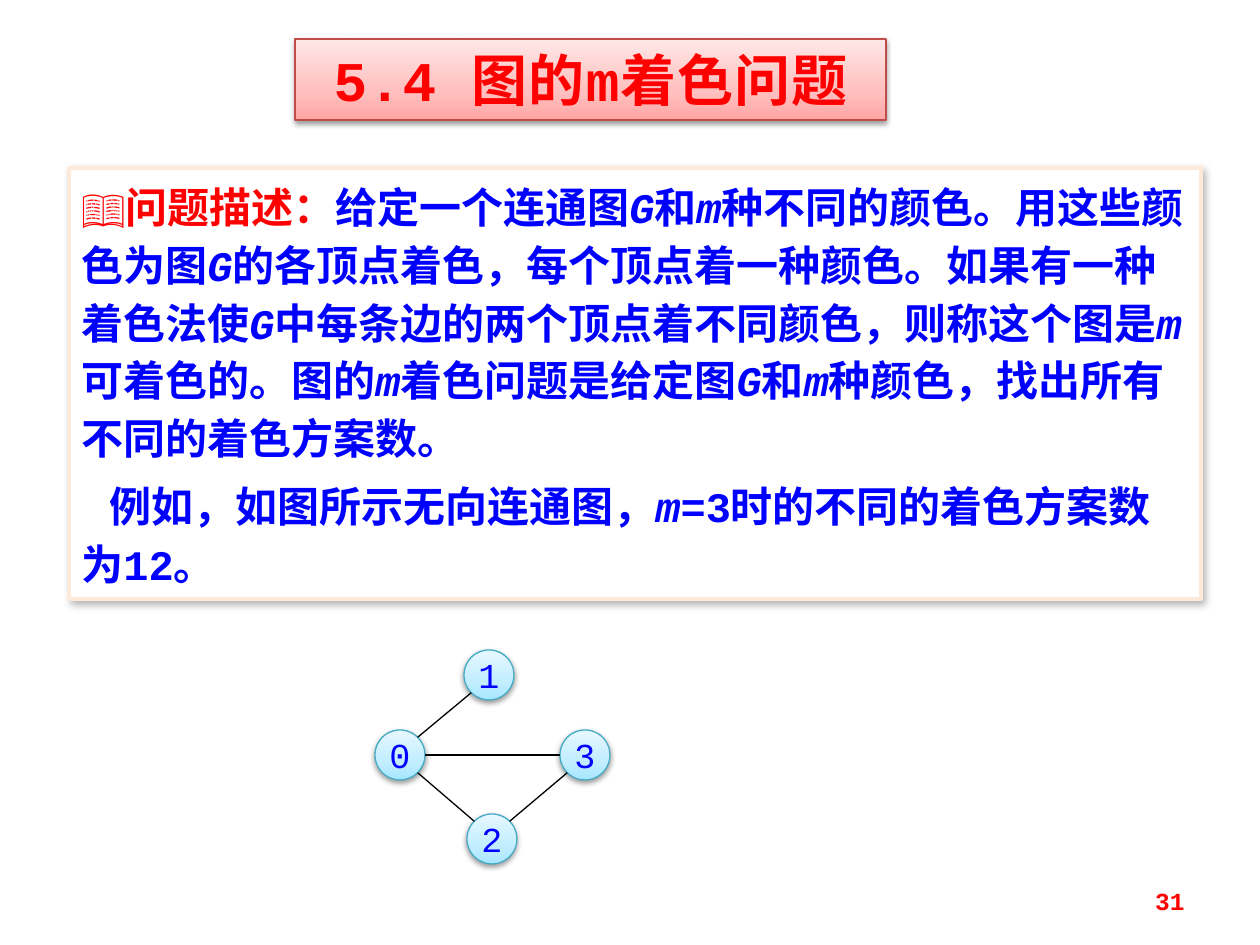
import math

import pptx
import pptx.dml.color
import pptx.enum.shapes
import pptx.enum.text
import pptx.oxml
import pptx.oxml.ns
import pptx.util
from lxml import etree

EMU_PER_PX = 914400 / 126
FONT = "Courier New"
COLORS = {
    "red": "FF0000", "blue": "0000FF", "black": "000000", "white": "FFFFFF",
    "title_line": "BF4C48", "panel_line": "FDEADA", "node_line": "46AAC5",
}
GRADIENTS = {
    "title": ((0, "FFA6A5"), (35, "FFC0BF"), (100, "FFE7E7")),
    "node": ((0, "A7E6FF"), (35, "C1EDFF"), (100, "E7F8FF")),
}
# Opacity in percent, blur and distance in points, direction in degrees
SHADOWS = {"below": (38, 3.1, 1.6, 90), "corner": (30, 4.5, 2.6, 53)}

PROBLEM = (
    "给定一个连通图*G*和*m*种不同的颜色。用这些颜色为图*G*的各顶点着色，"
    "每个顶点着一种颜色。如果有一种着色法使*G*中每条边的两个顶点着不同颜色，"
    "则称这个图是*m*可着色的。图的*m*着色问题是给定图*G*和*m*种颜色，"
    "找出所有不同的着色方案数。"
)
EXAMPLE = "例如，如图所示无向连通图，*m*=3时的不同的着色方案数为12。"

NODE_SIZE = 50
NODES = {"0": (375, 730), "2": (467, 814), "1": (464, 650), "3": (560, 730)}
EDGES = (("0", "3"), ("0", "1"), ("0", "2"), ("3", "2"))


def px(length):
    return pptx.util.Emu(round(length * EMU_PER_PX))


def rgb(name):
    return pptx.dml.color.RGBColor.from_string(COLORS.get(name, name))


def add_text(paragraph, text, *, size, color, bold=False, spacing=0):
    """Add runs to a paragraph; parts between asterisks become italic."""
    for index, part in enumerate(text.split("*")):
        run = paragraph.add_run()
        run.text = part
        font = run.font
        font.name, font.size, font.bold = FONT, pptx.util.Pt(size), bold
        font.italic = index % 2 == 1
        font.color.rgb = rgb(color)
        if spacing:
            font._element.set("spc", str(round(spacing * 100)))


def set_gradient(fill, stops):
    """Fill from bottom to top with any number of colour stops."""
    fill.gradient()
    fill.gradient_angle = 90
    stop_list = fill._xPr.find(".//" + pptx.oxml.ns.qn("a:gsLst"))
    for stop in list(stop_list):
        stop_list.remove(stop)
    for position, color in stops:
        stop = etree.SubElement(stop_list, pptx.oxml.ns.qn("a:gs"), pos=str(position * 1000))
        etree.SubElement(stop, pptx.oxml.ns.qn("a:srgbClr"), val=color)


def set_shadow(shape, opacity, blur, distance, direction):
    shape.shadow.inherit = False
    effects = shape._element.spPr.find(pptx.oxml.ns.qn("a:effectLst"))
    shadow = etree.SubElement(
        effects, pptx.oxml.ns.qn("a:outerShdw"),
        blurRad=str(pptx.util.Pt(blur)), dist=str(pptx.util.Pt(distance)),
        dir=str(direction * 60000), rotWithShape="0")
    color = etree.SubElement(shadow, pptx.oxml.ns.qn("a:srgbClr"), val=COLORS["black"])
    etree.SubElement(color, pptx.oxml.ns.qn("a:alpha"), val=str(opacity * 1000))


class SlideBuilder:
    def __init__(self, slide):
        self.slide = slide

    def shape(self, kind, box, *, line, line_width=0.75, gradient=None, shadow="below"):
        shape = self.slide.shapes.add_shape(kind, *map(px, box))
        if gradient:
            set_gradient(shape.fill, GRADIENTS[gradient])
        else:
            shape.fill.solid()
            shape.fill.fore_color.rgb = rgb("white")
        shape.line.color.rgb = rgb(line)
        shape.line.width = pptx.util.Pt(line_width)
        set_shadow(shape, *SHADOWS[shadow])
        shape.text_frame.vertical_anchor = pptx.enum.text.MSO_ANCHOR.TOP
        return shape

    def title(self, text, box):
        shape = self.shape(pptx.enum.shapes.MSO_SHAPE.RECTANGLE, box,
                           line="title_line", gradient="title")
        shape.text_frame.word_wrap = False
        paragraph = shape.text_frame.paragraphs[0]
        paragraph.alignment = pptx.enum.text.PP_ALIGN.CENTER
        add_text(paragraph, text, size=32, color="red", bold=True, spacing=0.5)

    def panel(self, label, problem, example, box):
        shape = self.shape(pptx.enum.shapes.MSO_SHAPE.RECTANGLE, box,
                           line="panel_line", line_width=2, shadow="corner")
        frame = shape.text_frame
        frame.word_wrap = True
        first, second = frame.paragraphs[0], frame.add_paragraph()
        for paragraph in (first, second):
            paragraph.alignment = pptx.enum.text.PP_ALIGN.LEFT
            paragraph.line_spacing = pptx.util.Pt(33)
        second.space_before = pptx.util.Pt(6)
        second._p.get_or_add_pPr().set("indent", str(px(28)))
        add_text(first, label, size=24, color="red", bold=True)
        add_text(first, problem, size=24, color="blue", bold=True)
        add_text(second, example, size=24, color="blue", bold=True)

    def node(self, name, left, top):
        shape = self.shape(pptx.enum.shapes.MSO_SHAPE.OVAL,
                           (left, top, NODE_SIZE, NODE_SIZE),
                           line="node_line", gradient="node")
        frame = shape.text_frame
        frame.margin_left = frame.margin_right = frame.margin_top = frame.margin_bottom = 0
        paragraph = frame.paragraphs[0]
        paragraph.alignment = pptx.enum.text.PP_ALIGN.CENTER
        paragraph.line_spacing = pptx.util.Pt(22)
        add_text(paragraph, name, size=20, color="blue")

    def edge(self, start, end):
        """Join two nodes at the rim points that face each other, in 45° steps."""
        radius = NODE_SIZE / 2
        deltas = [b - a for a, b in zip(start, end)]
        reach = radius if 0 in deltas else radius * math.cos(math.pi / 4)
        offsets = [math.copysign(reach, delta) if delta else 0 for delta in deltas]
        begin = [a + radius + offset for a, offset in zip(start, offsets)]
        finish = [b + radius - offset for b, offset in zip(end, offsets)]
        connector = self.slide.shapes.add_connector(
            pptx.enum.shapes.MSO_CONNECTOR.STRAIGHT, *map(px, begin + finish))
        connector.line.color.rgb = rgb("black")
        connector.line.width = pptx.util.Pt(0.75)
        etree.SubElement(connector._element.spPr, pptx.oxml.ns.qn("a:effectLst"))

    def page_number(self, text, box):
        frame = self.slide.shapes.add_textbox(*map(px, box)).text_frame
        frame.word_wrap = True
        frame.vertical_anchor = pptx.enum.text.MSO_ANCHOR.MIDDLE
        paragraph = frame.paragraphs[0]
        paragraph.alignment = pptx.enum.text.PP_ALIGN.RIGHT
        add_text(paragraph, text, size=14, color="red", bold=True)


def main():
    presentation = pptx.Presentation()
    presentation.slide_width, presentation.slide_height = px(1260), px(945)
    slide = presentation.slides.add_slide(presentation.slide_layouts[6])
    builder = SlideBuilder(slide)
    builder.title("5.4 图的m着色问题", (295, 39, 591, 81))
    builder.panel("📖问题描述：", PROBLEM, EXAMPLE, (69, 168, 1132, 431))
    for name, position in NODES.items():
        builder.node(name, *position)
    for start, end in EDGES:
        builder.edge(NODES[start], NODES[end])
    builder.page_number("31", (903, 876, 294, 50))
    presentation.save("out.pptx")


if __name__ == "__main__":
    main()
